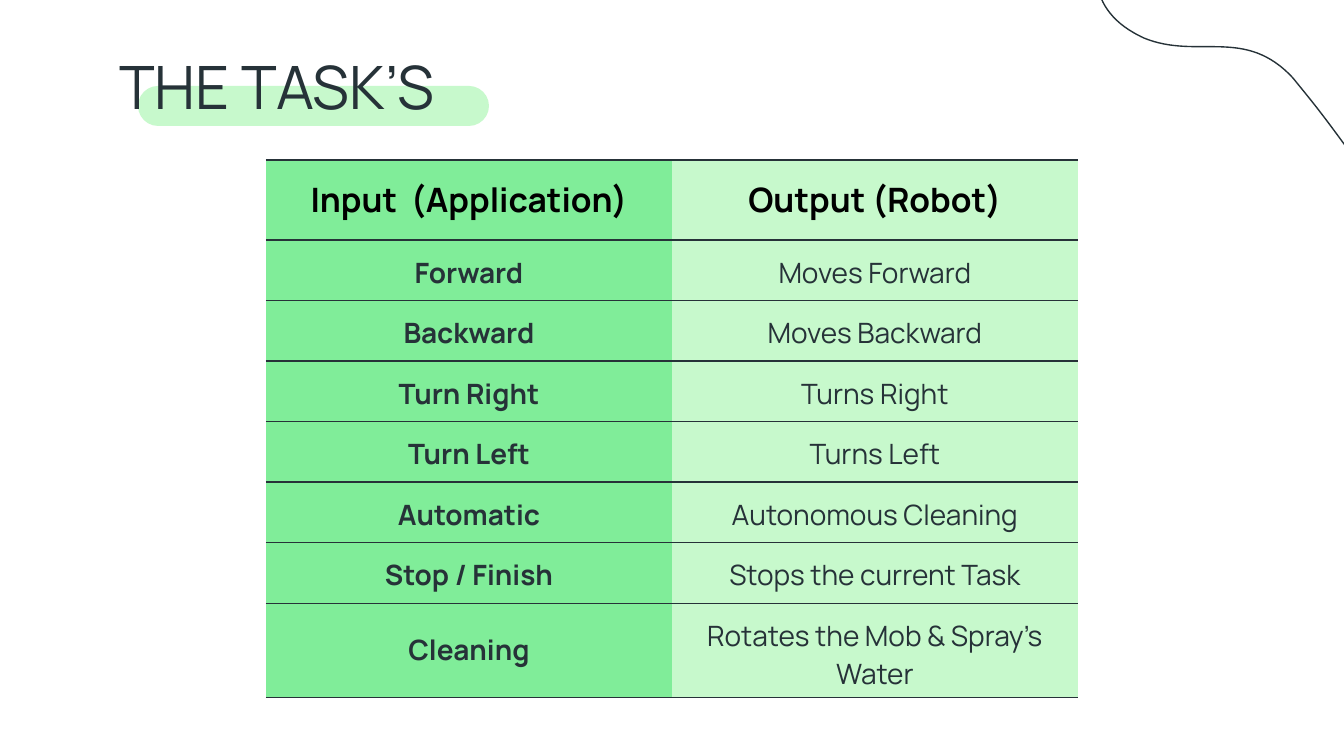
import math
from dataclasses import dataclass

from lxml import etree
from pptx import Presentation
from pptx import util as u
from pptx.dml.color import RGBColor
from pptx.enum import shapes, text
from pptx.oxml.ns import qn

SCALE = 914400 / 134.4  # EMU per px


@dataclass(frozen=True)
class Theme:
    font: str = "Manrope"
    ink: str = "263238"
    black: str = "000000"
    white: str = "FFFFFF"
    green: str = "80ED99"
    pale: str = "C7F9CC"
    title_pt: int = 32
    header_pt: int = 18
    body_pt: int = 15
    line_pt: float = 0.75


@dataclass(frozen=True)
class Box:
    x: int
    y: int
    w: int
    h: int

    def emu(self) -> tuple[u.Emu, ...]:
        return tuple(px(v) for v in (self.x, self.y, self.w, self.h))


@dataclass(frozen=True)
class Pill:
    box: Box
    color: str


@dataclass(frozen=True)
class Task:
    command: str
    action: str
    height: int = 55  # rows grow to fit their text


Point = tuple[float, float]
THEME = Theme()
INSET = u.Inches(0.1)
COLUMN_WIDTH = 406
TABLE_LEFT, TABLE_TOP = 266, 160
TITLE = Box(106, 36, 614, 90)
PILLS = [
    Pill(Box(99, 99, 879, 60), THEME.white),
    Pill(Box(138, 86, 351, 40), THEME.pale),
]
HEADER = Task("Input  (Application)", "Output (Robot)", 80)
TASKS = [
    Task("Forward", "Moves Forward"),
    Task("Backward", "Moves Backward"),
    Task("Turn Right", "Turns Right"),
    Task("Turn Left", "Turns Left"),
    Task("Automatic", "Autonomous Cleaning"),
    Task("Stop / Finish", "Stops the current Task"),
    Task("Cleaning", "Rotates the Mob & Spray’s Water"),
]
BLOB = Box(1095, -206, 594, 437)
BLOB_ANGLE = 230.5
# Each row holds two control points and an end point of a cubic curve.
BLOB_START = (1110, 13)
BLOB_CURVES = [
    ((1118, 23), (1129, 31), (1144, 38)),
    ((1198, 60), (1245, 26), (1293, 78)),
    ((1297, 83), (1302, 89), (1306, 94)),
    ((1328, 121), (1346, 147), (1364, 171)),
    ((1387, 199), (1414, 223), (1457, 241)),
    ((1527, 269), (1578, 245), (1618, 195)),
    ((1688, 108), (1667, 3), (1598, -79)),
    ((1570, -116), (1531, -147), (1488, -172)),
    ((1351, -249), (1206, -219), (1126, -110)),
    ((1102, -77), (1081, -23), (1110, 13)),
]


def px(value: float) -> u.Emu:
    return u.Emu(round(value * SCALE))


def rgb(color: str) -> RGBColor:
    return RGBColor.from_string(color)


def to_local(point: Point, box: Box, angle: float) -> Point:
    """Turn a slide point back into the frame of a rotated box."""
    a = math.radians(-angle)
    dx, dy = point[0] - box.x - box.w / 2, point[1] - box.y - box.h / 2
    return (box.w / 2 + dx * math.cos(a) - dy * math.sin(a),
            box.h / 2 + dx * math.sin(a) + dy * math.cos(a))


def add_blob(slide) -> None:
    builder = slide.shapes.build_freeform(0, 0, scale=SCALE)
    builder.add_line_segments([(BLOB.w, BLOB.h)])
    sp = builder.convert_to_shape()
    sp.left, sp.top, sp.width, sp.height = BLOB.emu()
    sp.rotation = BLOB_ANGLE
    sp.shadow.inherit = False
    sp.fill.background()
    sp.line.color.rgb = rgb(THEME.ink)
    sp.line.width = u.Pt(THEME.line_pt)

    outline = next(sp._element.iter(qn("a:path")))
    outline.clear()
    outline.set("w", str(px(BLOB.w)))
    outline.set("h", str(px(BLOB.h)))
    steps = [("moveTo", (BLOB_START,))]
    steps += [("cubicBezTo", curve) for curve in BLOB_CURVES]
    for tag, points in steps:
        step = etree.SubElement(outline, qn(f"a:{tag}"))
        for point in points:
            x, y = to_local(point, BLOB, BLOB_ANGLE)
            etree.SubElement(step, qn("a:pt"), x=str(px(x)), y=str(px(y)))
    etree.SubElement(outline, qn("a:close"))


def add_pill(slide, pill: Pill) -> None:
    sp = slide.shapes.add_shape(shapes.MSO_SHAPE.ROUNDED_RECTANGLE,
                                *pill.box.emu())
    sp.adjustments[0] = 0.5
    sp.shadow.inherit = False
    sp.fill.solid()
    sp.fill.fore_color.rgb = rgb(pill.color)
    sp.line.fill.background()


def style_run(p, size: int, color: str, bold: bool = False) -> None:
    font = p.runs[0].font
    font.name, font.size, font.bold = THEME.font, u.Pt(size), bold
    font.color.rgb = rgb(color)


def add_title(slide, box: Box, title: str) -> None:
    tf = slide.shapes.add_textbox(*box.emu()).text_frame
    tf.word_wrap = True
    tf.vertical_anchor = text.MSO_ANCHOR.MIDDLE
    tf.margin_left = tf.margin_right = INSET
    tf.margin_top, tf.margin_bottom = px(18), px(8)
    tf.text = title
    style_run(tf.paragraphs[0], THEME.title_pt, THEME.ink)


def set_borders(cell) -> None:
    """Rule the cell above and below, leaving its sides open."""
    tc_pr = cell._tc.get_or_add_tcPr()
    for side in ("lnL", "lnR", "lnT", "lnB"):
        ln = etree.SubElement(tc_pr, qn(f"a:{side}"))
        if side in ("lnL", "lnR"):
            etree.SubElement(ln, qn("a:noFill"))
        else:
            ln.set("w", str(u.Pt(THEME.line_pt)))
            fill = etree.SubElement(ln, qn("a:solidFill"))
            etree.SubElement(fill, qn("a:srgbClr"), val=THEME.ink)


def fill_cell(cell, label: str, fill: str, size: int, color: str,
              bold: bool) -> None:
    set_borders(cell)
    cell.fill.solid()
    cell.fill.fore_color.rgb = rgb(fill)
    cell.vertical_anchor = text.MSO_ANCHOR.MIDDLE
    cell.margin_left = cell.margin_right = INSET
    cell.margin_top = cell.margin_bottom = INSET
    cell.text = label
    p = cell.text_frame.paragraphs[0]
    p.alignment = text.PP_ALIGN.CENTER
    style_run(p, size, color, bold)


def add_task_table(slide) -> None:
    rows = [HEADER, *TASKS]
    box = Box(TABLE_LEFT, TABLE_TOP, 2 * COLUMN_WIDTH,
              sum(row.height for row in rows))
    table = slide.shapes.add_table(len(rows), 2, *box.emu()).table
    table.first_row = table.horz_banding = False
    for i, row in enumerate(rows):
        table.rows[i].height = px(row.height)
        header = row is HEADER
        size = THEME.header_pt if header else THEME.body_pt
        color = THEME.black if header else THEME.ink
        fill_cell(table.cell(i, 0), row.command, THEME.green, size, color, True)
        fill_cell(table.cell(i, 1), row.action, THEME.pale, size, color, header)


def main() -> None:
    prs = Presentation()
    prs.slide_width, prs.slide_height = px(1344), px(756)
    slide = prs.slides.add_slide(prs.slide_layouts[6])
    add_blob(slide)
    for pill in PILLS:
        add_pill(slide, pill)
    add_title(slide, TITLE, "THE TASK’S")
    add_task_table(slide)
    prs.save("out.pptx")


if __name__ == "__main__":
    main()
